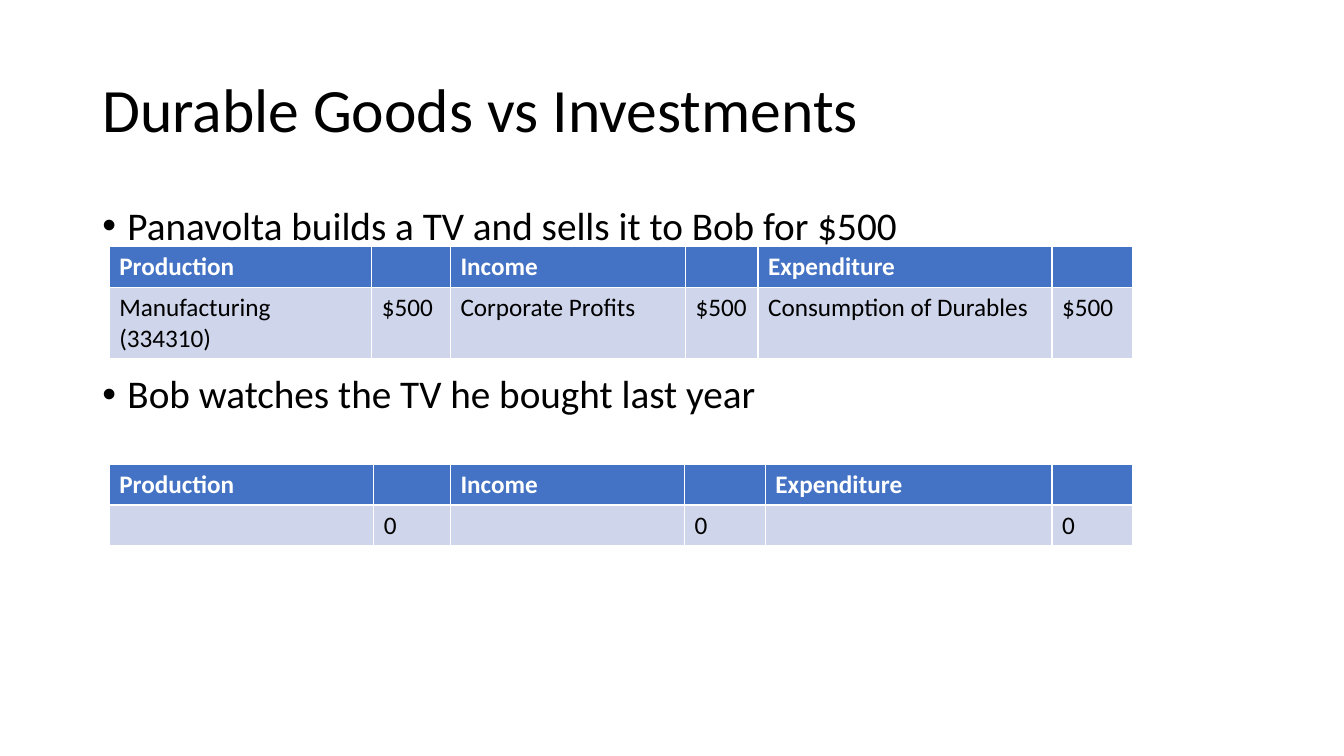
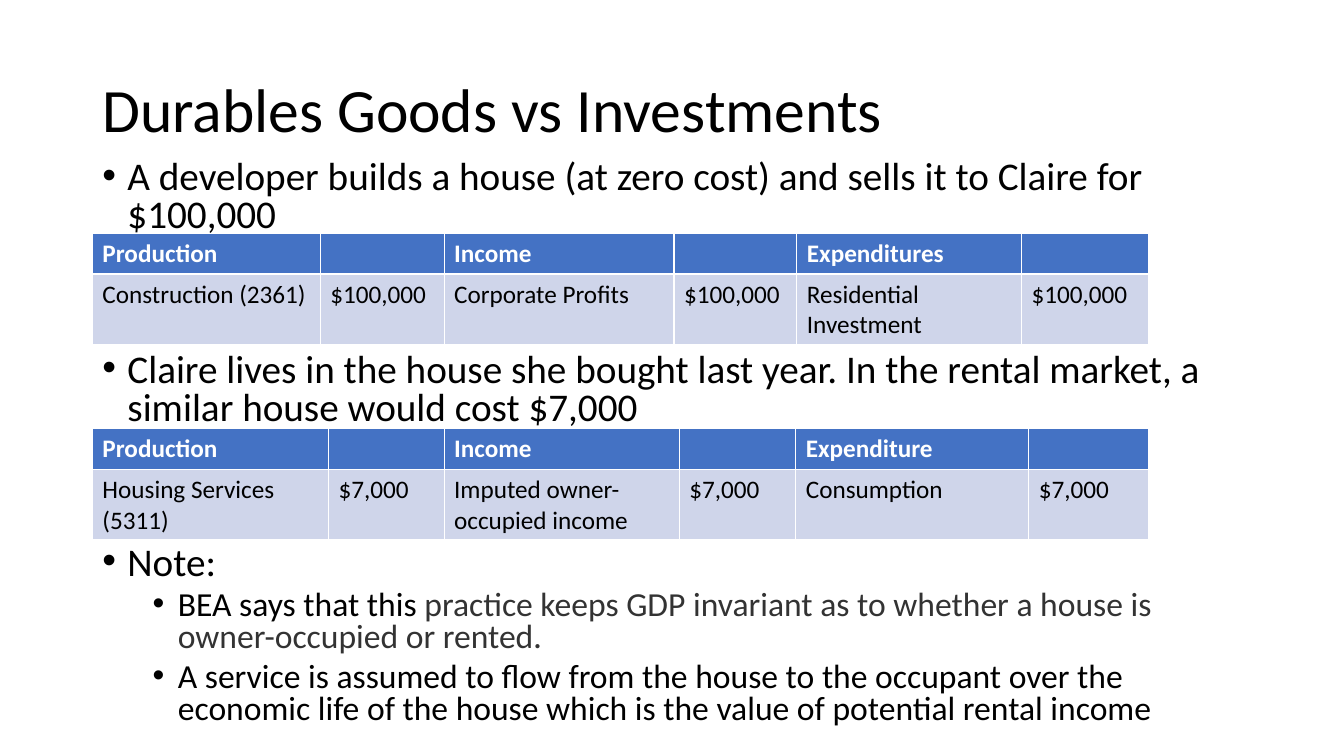
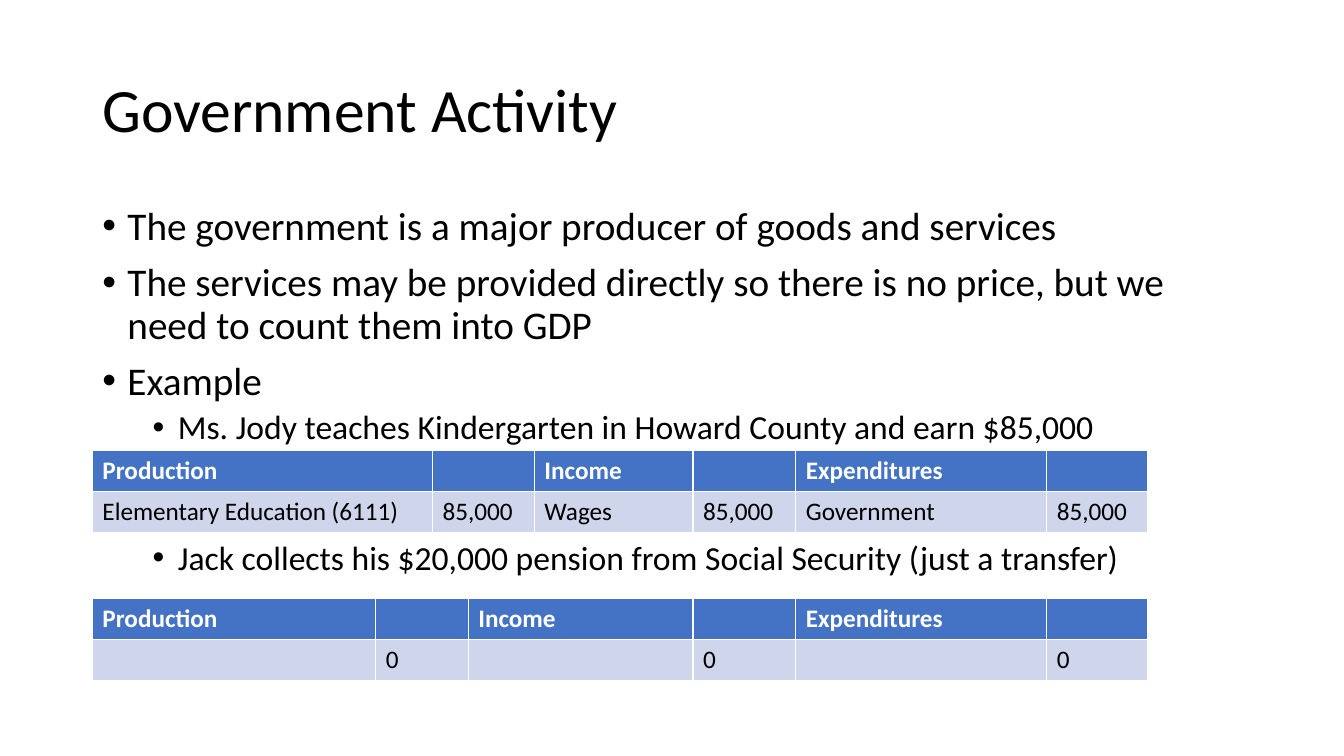
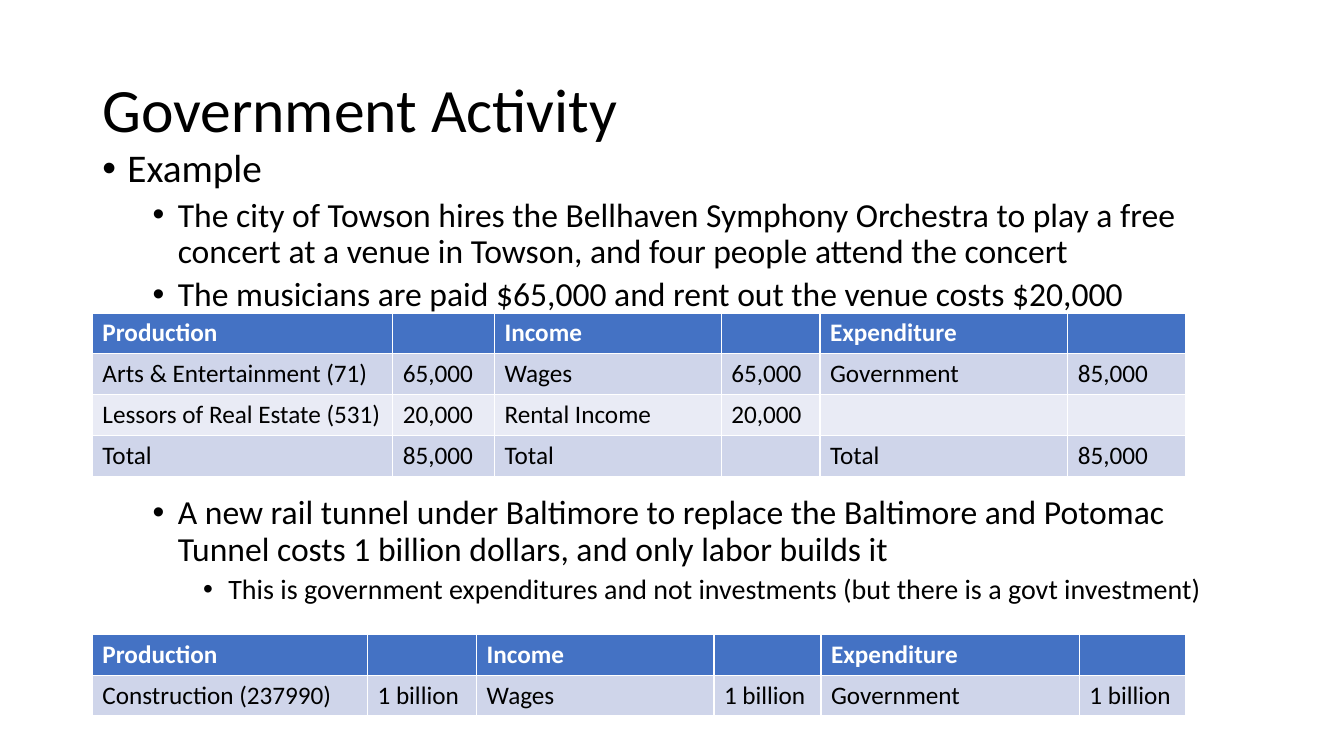
from lxml import etree
from pptx import Presentation
from pptx.dml.color import RGBColor
from pptx.enum.text import MSO_ANCHOR
from pptx.oxml.ns import qn
from pptx.util import Emu, Pt

# Shared style
PX = 9525  # one px in EMU, 96 px to the inch
FONT = "Calibri"
BLACK = RGBColor(0x00, 0x00, 0x00)
WHITE = RGBColor(0xFF, 0xFF, 0xFF)
GRAY = RGBColor(0x33, 0x33, 0x33)
HEADER_BLUE = RGBColor(0x44, 0x72, 0xC4)
BANDS = (RGBColor(0xCF, 0xD5, 0xEA), RGBColor(0xE9, 0xEB, 0xF5))
LEFT, WIDTH = 88, 1104
TITLE_TOP, TITLE_HEIGHT = 38, 139
ROW_HEIGHT = 39
BULLET_SIZES = (28, 24, 20)
BULLET_GAPS = (10, 5, 5)
HEADER = ("Production", "", "Income", "", "Expenditure", "")
HEADER_PLURAL = ("Production", "", "Income", "", "Expenditures", "")
ZEROS = ("", "0", "", "0", "", "0")

# Content: bullets are (level, text or styled runs, optional points before);
# tables are (left, top, column widths, rows)
SLIDES = [
    {
        "title": "Durable Goods vs Investments",
        "body": (192, 457, 0.9),
        "bullets": [
            (0, "Panavolta builds a TV and sells it to Bob for $500"),
            (0, "Bob watches the TV he bought last year", 90),
        ],
        "tables": [
            (104, 235, (250, 75, 224, 69, 280, 77), [
                HEADER,
                ("Manufacturing (334310)", "$500", "Corporate Profits", "$500",
                 "Consumption of Durables", "$500"),
            ]),
            (104, 442, (252, 73, 223, 77, 273, 77), [HEADER, ZEROS]),
        ],
    },
    {
        "title": "Durables Goods vs Investments",
        "body": (148, 553, 0.8),
        "bullets": [
            (0, "A developer builds a house (at zero cost) and sells it to Claire for $100,000"),
            (0, "Claire lives in the house she bought last year. In the rental market, "
                "a similar house would cost $7,000", 84),
            (0, "Note:", 84),
            (1, [("BEA says that this", BLACK, FONT),
                 (" practice keeps GDP invariant as to whether a house is "
                  "owner-occupied or rented", GRAY, FONT),
                 (".", GRAY, "Lato")]),
            (1, "A service is assumed to flow from the house to the occupant over the "
                "economic life of the house which is the value of potential rental income"),
        ],
        "tables": [
            (LEFT, 222, (217, 118, 219, 117, 214, 121), [
                HEADER_PLURAL,
                ("Construction (2361)", "$100,000", "Corporate Profits", "$100,000",
                 "Residential Investment", "$100,000"),
            ]),
            (LEFT, 408, (225, 110, 224, 111, 222, 114), [
                HEADER,
                ("Housing Services (5311)", "$7,000", "Imputed owner-occupied income",
                 "$7,000", "Consumption", "$7,000"),
            ]),
        ],
    },
    {
        "title": "Government Activity",
        "body": (192, 457, 0.9),
        "bullets": [
            (0, "The government is a major producer of goods and services"),
            (0, "The services may be provided directly so there is no price, "
                "but we need to count them into GDP"),
            (0, "Example"),
            (1, "Ms. Jody teaches Kindergarten in Howard County and earn $85,000"),
            (1, "Jack collects his $20,000 pension from Social Security (just a transfer)", 67),
        ],
        "tables": [
            (LEFT, 429, (324, 97, 151, 98, 239, 96), [
                HEADER_PLURAL,
                ("Elementary Education (6111)", "85,000", "Wages", "85,000",
                 "Government", "85,000"),
            ]),
            (LEFT, 570, (270, 88, 214, 98, 239, 96), [HEADER_PLURAL, ZEROS]),
        ],
    },
    {
        "title": "Government Activity",
        "body": (137, 512, 0.9),
        "bullets": [
            (0, "Example"),
            (1, "The city of Towson hires the Bellhaven Symphony Orchestra to play a free "
                "concert at a venue in Towson, and four people attend the concert"),
            (1, "The musicians are paid $65,000 and rent out the venue costs $20,000"),
            (1, "A new rail tunnel under Baltimore to replace the Baltimore and Potomac "
                "Tunnel costs 1 billion dollars, and only labor builds it", 130),
            (2, "This is government expenditures and not investments "
                "(but there is a govt investment)"),
        ],
        "tables": [
            (LEFT, 298, (286, 97, 216, 94, 236, 112), [
                HEADER,
                ("Arts & Entertainment (71)", "65,000", "Wages", "65,000",
                 "Government", "85,000"),
                ("Lessors of Real Estate (531)", "20,000", "Rental Income", "20,000", "", ""),
                ("Total", "85,000", "Total", "", "Total", "85,000"),
            ]),
            (LEFT, 604, (262, 104, 226, 102, 246, 101), [
                HEADER,
                ("Construction (237990)", "1 billion", "Wages", "1 billion",
                 "Government", "1 billion"),
            ]),
        ],
    },
]


def px(*lengths):
    return [Emu(length * PX) for length in lengths]


def set_font(font, size, color=BLACK, bold=False):
    font.name, font.size, font.bold = FONT, Pt(size), bold
    font.color.rgb = color


def add_text_frame(slide, top, height):
    frame = slide.shapes.add_textbox(*px(LEFT, top, WIDTH, height)).text_frame
    frame.word_wrap = True
    return frame


def add_title(slide, text):
    frame = add_text_frame(slide, TITLE_TOP, TITLE_HEIGHT)
    frame.vertical_anchor = MSO_ANCHOR.MIDDLE
    paragraph = frame.paragraphs[0]
    paragraph.text = text
    paragraph.line_spacing = 0.9
    set_font(paragraph.font, 44)


def set_bullet(paragraph, level):
    paragraph.level = level
    properties = paragraph._p.get_or_add_pPr()
    properties.set("marL", str((24 + 48 * level) * PX))
    properties.set("indent", str(-24 * PX))
    etree.SubElement(properties, qn("a:buFont")).set("typeface", "Arial")
    etree.SubElement(properties, qn("a:buChar")).set("char", "•")


def add_bullets(slide, body, bullets):
    top, height, line_spacing = body
    frame = add_text_frame(slide, top, height)
    for index, (level, text, *gap) in enumerate(bullets):
        paragraph = frame.add_paragraph() if index else frame.paragraphs[0]
        set_bullet(paragraph, level)
        paragraph.line_spacing = line_spacing
        if index:
            paragraph.space_before = Pt(gap[0] if gap else BULLET_GAPS[level])
        set_font(paragraph.font, BULLET_SIZES[level])
        if isinstance(text, str):
            paragraph.text = text
            continue
        for words, color, name in text:
            run = paragraph.add_run()
            run.text = words
            run.font.color.rgb = color
            run.font.name = name


def add_account_table(slide, left, top, widths, rows):
    frame = slide.shapes.add_table(
        len(rows), len(widths), *px(left, top, sum(widths), ROW_HEIGHT * len(rows)))
    table = frame.table
    for column, width in zip(table.columns, px(*widths)):
        column.width = width
    for row_index, row in enumerate(rows):
        is_header = row_index == 0
        for column_index, text in enumerate(row):
            cell = table.cell(row_index, column_index)
            cell.fill.solid()
            cell.fill.fore_color.rgb = HEADER_BLUE if is_header else BANDS[(row_index - 1) % 2]
            paragraph = cell.text_frame.paragraphs[0]
            if text:
                paragraph.text = text
            set_font(paragraph.font, 18, WHITE if is_header else BLACK, is_header)


def main():
    presentation = Presentation()
    presentation.slide_width, presentation.slide_height = px(1280, 720)
    for content in SLIDES:
        slide = presentation.slides.add_slide(presentation.slide_layouts[6])
        add_title(slide, content["title"])
        add_bullets(slide, content["body"], content["bullets"])
        for table in content["tables"]:
            add_account_table(slide, *table)
    presentation.save("out.pptx")


if __name__ == "__main__":
    main()
